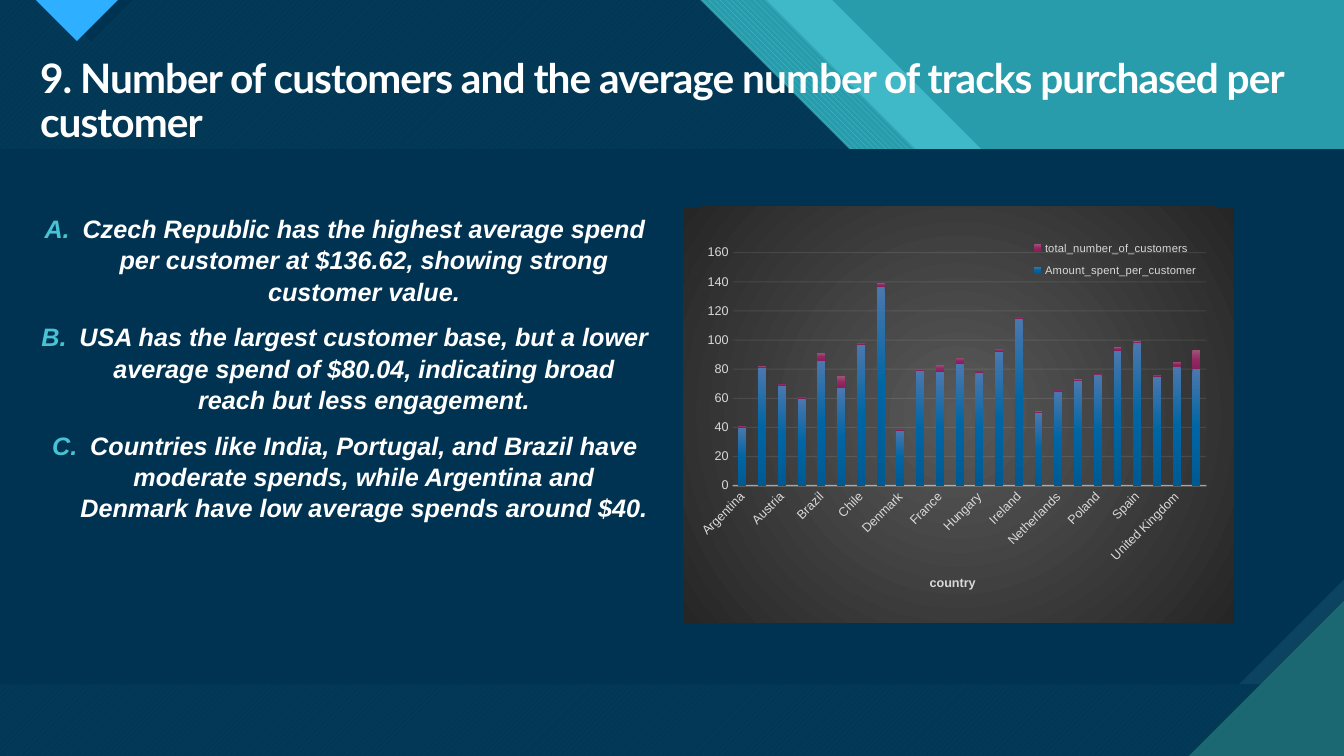
from lxml import etree
from pptx import Presentation
from pptx import util as u
from pptx.chart.data import CategoryChartData
from pptx.dml.color import RGBColor
from pptx.enum import chart as ch, dml, text
from pptx.oxml import parse_xml
from pptx.oxml.ns import nsdecls, qn

PX = 12192000 / 1344
WIDTH, HEIGHT = 1344, 756

WHITE = RGBColor(0xFF, 0xFF, 0xFF)
NAVY = RGBColor(0x00, 0x33, 0x52)
PANEL_EDGE = RGBColor(0x0C, 0x43, 0x60)
TEAL = RGBColor(0x29, 0x9C, 0xAB)
DEEP_TEAL = RGBColor(0x1B, 0x68, 0x72)
AQUA = RGBColor(0x47, 0xC3, 0xD3)
SKY = RGBColor(0x2F, 0xAF, 0xFF)
LABEL_GREY = RGBColor(0xD9, 0xD9, 0xD9)
GRID_GREY = RGBColor(0xF2, 0xF2, 0xF2)
CHART_GREYS = [(0, RGBColor(0x59, 0x59, 0x59)), (100, RGBColor(0x26, 0x26, 0x26))]
SPENT_BLUES = [(0, RGBColor(0x4B, 0x78, 0xAE)), (50, RGBColor(0x00, 0x65, 0xA4)),
               (100, RGBColor(0x00, 0x5A, 0x92))]
CUSTOMER_PINKS = [(0, RGBColor(0x9D, 0x54, 0x77)), (50, RGBColor(0x94, 0x28, 0x63)),
                  (100, RGBColor(0x88, 0x1F, 0x59))]

TITLE = "9. Number of customers and the average number of tracks purchased per customer"
FINDINGS = [
    "Czech Republic has the highest average spend per customer at $136.62, "
    "showing strong customer value.",
    "USA has the largest customer base, but a lower average spend of $80.04, "
    "indicating broad reach but less engagement.",
    "Countries like India, Portugal, and Brazil have moderate spends, "
    "while Argentina and Denmark have low average spends around $40.",
]
COUNTRIES = [
    "Argentina", "Australia", "Austria", "Belgium", "Brazil", "Canada", "Chile",
    "Czech Republic", "Denmark", "Finland", "France", "Germany", "Hungary", "India",
    "Ireland", "Italy", "Netherlands", "Norway", "Poland", "Portugal", "Spain",
    "Sweden", "United Kingdom", "USA"]
SPENT = [40, 81, 69, 60, 86, 67, 97, 137, 38, 79, 78, 84,
         78, 92, 115, 50, 65, 72, 76, 93, 98, 75, 82, 80]
CUSTOMERS = [1, 1, 1, 1, 5, 8, 1, 2, 1, 1, 5, 4, 1, 2, 1, 1, 1, 1, 1, 2, 1, 1, 3, 13]


def px(length):
    return u.Emu(round(length * PX))


def set_opacity(element, percent):
    for color in element.iter(qn("a:srgbClr")):
        etree.SubElement(color, qn("a:alpha")).set("val", str(percent * 1000))


def add_polygon(slide, points, color, back=None, pattern=None, opacity=100):
    builder = slide.shapes.build_freeform(*points[0], scale=PX)
    builder.add_line_segments(points[1:], close=True)
    shape = builder.convert_to_shape()
    shape.shadow.inherit = False
    shape.line.fill.background()
    if pattern:
        shape.fill.patterned()
        shape.fill.pattern = pattern
        shape.fill.back_color.rgb = back
    else:
        shape.fill.solid()
    shape.fill.fore_color.rgb = color
    if opacity < 100:
        set_opacity(shape.element.spPr, opacity)


def diagonal_band(top_right):
    """Area left of a 45-degree line that starts at the top edge."""
    return [(0, 0), (top_right, 0), (WIDTH, WIDTH - top_right), (WIDTH, HEIGHT), (0, HEIGHT)]


def pointer(center, depth):
    return [(center - depth, 0), (center + depth, 0), (center, depth)]


def add_backdrop(slide):
    pattern = dml.MSO_PATTERN
    slide.background.fill.solid()
    slide.background.fill.fore_color.rgb = TEAL
    add_polygon(slide, diagonal_band(832), AQUA, opacity=74)
    add_polygon(slide, diagonal_band(766), AQUA, TEAL, pattern.WIDE_DOWNWARD_DIAGONAL)
    add_polygon(slide, diagonal_band(700), AQUA, DEEP_TEAL, pattern.WIDE_UPWARD_DIAGONAL)
    add_polygon(slide, diagonal_band(700), NAVY, opacity=90)
    add_polygon(slide, pointer(91, 42), NAVY)
    add_polygon(slide, pointer(77, 41), SKY)
    top, bottom, snip = 149, 684, 105
    add_polygon(slide, [(0, top), (WIDTH, top), (WIDTH, bottom), (0, bottom)], PANEL_EDGE)
    add_polygon(slide, [(0, top), (WIDTH, top), (WIDTH, bottom - snip),
                        (WIDTH - snip, bottom), (0, bottom)], NAVY)
    corner = 155
    add_polygon(slide, [(WIDTH - corner, HEIGHT), (WIDTH, HEIGHT), (WIDTH, HEIGHT - corner)],
                DEEP_TEAL)


def place(box, left, top, width, height):
    """Moves a placeholder and lifts it above the backdrop."""
    box.left, box.top, box.width, box.height = map(px, (left, top, width, height))
    box.element.getparent().append(box.element)
    box.text_frame.word_wrap = True
    box.text_frame.auto_size = text.MSO_AUTO_SIZE.NONE


def add_span(para, wording, font, size, italic=False):
    span = para.add_run()
    span.text = wording
    span.font.name, span.font.size = font, u.Pt(size)
    span.font.bold, span.font.italic = True, italic
    span.font.color.rgb = WHITE
    return span


def fill_title(box):
    place(box, 30, 53, 1313, 99)
    box.text_frame.vertical_anchor = text.MSO_ANCHOR.MIDDLE
    para = box.text_frame.paragraphs[0]
    para.alignment = text.PP_ALIGN.LEFT
    para.line_spacing = 0.9
    span = add_span(para, TITLE, "Lato", 29)
    span.font._element.set("spc", "-70")


def fill_findings(box):
    place(box, 30, 207, 630, 489)
    frame = box.text_frame
    frame.vertical_anchor = text.MSO_ANCHOR.TOP
    for number, finding in enumerate(FINDINGS):
        para = frame.add_paragraph() if number else frame.paragraphs[0]
        para.alignment = text.PP_ALIGN.CENTER
        para.line_spacing = 1.04
        para.space_before = u.Pt(10)
        add_span(para, finding, "Arial", 18, italic=True)
        props = para._p.get_or_add_pPr()
        props.set("marL", str(px(38)))
        props.set("indent", str(-px(38)))
        color = etree.SubElement(props, qn("a:buClr"))
        etree.SubElement(color, qn("a:srgbClr")).set("val", str(AQUA))
        etree.SubElement(props, qn("a:buFont")).set("typeface", "Arial")
        etree.SubElement(props, qn("a:buAutoNum")).set("type", "alphaUcPeriod")


def gradient(stops, direction):
    marks = "".join(f'<a:gs pos="{pos * 1000}"><a:srgbClr val="{color}"/></a:gs>'
                    for pos, color in stops)
    return parse_xml(f'<a:gradFill {nsdecls("a")} rotWithShape="1">'
                     f'<a:gsLst>{marks}</a:gsLst>{direction}</a:gradFill>')


def set_layout(parent, index, x, y, w, h, target=""):
    """Fixes a chart part at fractions of the chart's size."""
    for old in parent.findall(qn("c:layout")):
        parent.remove(old)
    sizes = "".join(f'<c:{name} val="{value}"/>' for name, value in zip("xywh", (x, y, w, h)))
    parent.insert(index, parse_xml(
        f'<c:layout {nsdecls("c")}><c:manualLayout>{target}<c:xMode val="edge"/>'
        f'<c:yMode val="edge"/>{sizes}</c:manualLayout></c:layout>'))


def style_font(font, size, bold=False):
    font.name, font.size, font.bold = "Arial", u.Pt(size), bold
    font.color.rgb = LABEL_GREY


def style_axes(chart):
    for axis in (chart.category_axis, chart.value_axis):
        axis.major_tick_mark = axis.minor_tick_mark = ch.XL_TICK_MARK.NONE
        style_font(axis.tick_labels.font, 9)
    countries, values = chart.category_axis, chart.value_axis
    countries.format.line.color.rgb = GRID_GREY
    countries.format.line.width = u.Pt(1)
    set_opacity(countries._element.find(qn("c:spPr")), 54)
    countries._element.find(qn("c:txPr")).find(qn("a:bodyPr")).set("rot", "-2700000")
    span = countries.axis_title.text_frame.paragraphs[0].add_run()
    span.text = "country"
    style_font(span.font, 9, bold=True)
    values.minimum_scale, values.maximum_scale, values.major_unit = 0, 160, 20
    values.format.line.fill.background()
    grid = values.major_gridlines.format.line
    grid.color.rgb, grid.width = GRID_GREY, u.Pt(0.75)
    set_opacity(values._element.find(qn("c:majorGridlines")), 10)


def add_spend_chart(slide):
    data = CategoryChartData()
    data.categories = COUNTRIES
    data.add_series("Amount_spent_per_customer", SPENT)
    data.add_series("total_number_of_customers", CUSTOMERS)
    chart = slide.shapes.add_chart(ch.XL_CHART_TYPE.COLUMN_STACKED,
                                   *map(px, (683, 207, 551, 416)), data).chart
    chart.has_title = False
    style_font(chart.font, 10)
    plot = chart.plots[0]
    plot.gap_width, plot.overlap, plot.vary_by_categories = 150, 100, False
    for series, stops in zip(plot.series, (SPENT_BLUES, CUSTOMER_PINKS)):
        down = '<a:lin ang="5400000" scaled="0"/>'
        series._element.get_or_add_spPr().insert(0, gradient(stops, down))
    style_axes(chart)
    chart.has_legend = True
    chart.legend.include_in_layout = False
    style_font(chart.legend.font, 8)
    set_layout(chart.legend._element, 1, 0.62, 0.06, 0.33, 0.13)
    area = chart.element.find(qn("c:chart"))
    set_layout(area.find(qn("c:plotArea")), 0, 0.09, 0.11, 0.86, 0.56,
               '<c:layoutTarget val="inner"/>')
    surface = parse_xml(f'<c:spPr {nsdecls("c", "a")}><a:ln><a:noFill/></a:ln></c:spPr>')
    surface.insert(0, gradient(CHART_GREYS, '<a:path path="circle"><a:fillToRect l="50000" '
                               't="50000" r="50000" b="50000"/></a:path>'))
    area.addnext(surface)


def main():
    deck = Presentation()
    deck.slide_width, deck.slide_height = px(WIDTH), px(HEIGHT)
    slide = deck.slides.add_slide(deck.slide_layouts[1])
    add_backdrop(slide)
    fill_title(slide.shapes.title)
    fill_findings(slide.placeholders[1])
    add_spend_chart(slide)
    deck.save("out.pptx")


if __name__ == "__main__":
    main()
